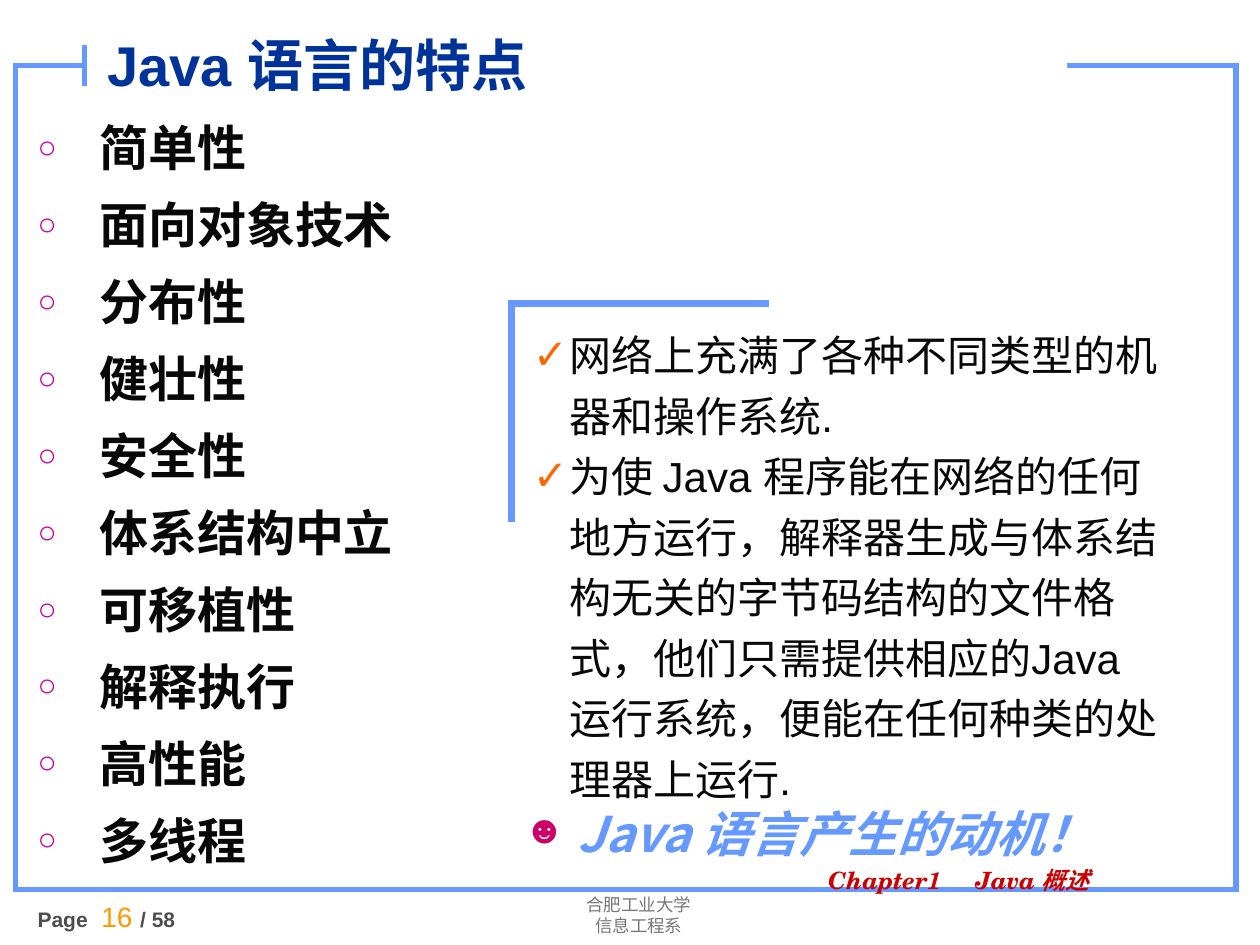
from lxml import etree
from pptx import Presentation
from pptx import util as u
from pptx.dml.color import RGBColor
from pptx.enum import shapes, text
from pptx.oxml.ns import qn

BLUE = RGBColor(0x66, 0x99, 0xFF)
NAVY = RGBColor(0x00, 0x33, 0x99)
INK = RGBColor(0x08, 0x08, 0x08)
GREY = RGBColor(0x77, 0x77, 0x77)
DARK_GREY = RGBColor(0x4D, 0x4D, 0x4D)
AMBER = RGBColor(0xFF, 0x99, 0x00)
ORANGE = RGBColor(0xFF, 0x66, 0x00)
PINK = RGBColor(0xCC, 0x00, 0x99)
CRIMSON = RGBColor(0xCC, 0x00, 0x66)
RED = RGBColor(0xCC, 0x00, 0x00)
WHITE = RGBColor(0xFF, 0xFF, 0xFF)

deck = Presentation()
deck.slide_width, deck.slide_height = u.Inches(10), u.Inches(7.5)
page = deck.slides.add_slide(deck.slide_layouts[5])


def add_panel(parent, place, fill=None, line=None, width=0):
    panel = parent.add_shape(shapes.MSO_SHAPE.RECTANGLE, *map(u.Inches, place))
    panel.shadow.inherit = False
    if fill is None:
        panel.fill.background()
    else:
        panel.fill.solid()
        panel.fill.fore_color.rgb = fill
    if line is None:
        panel.line.fill.background()
    else:
        panel.line.color.rgb = line
        panel.line.width = u.Pt(width)
        # Square corners
        etree.SubElement(panel._element.spPr.find(qn("a:ln")), qn("a:miter"), lim="800000")


def add_text(parent, place, lines, font, bullet=None, indent=0, **spacing):
    """Each line is a list of (words, size, colour) spans; font is (name, bold, italic)."""
    box = parent.add_textbox(*map(u.Inches, place))
    box.text_frame.word_wrap = True
    for number, spans in enumerate(lines):
        para = box.text_frame.paragraphs[0] if number == 0 else box.text_frame.add_paragraph()
        for name, value in spacing.items():
            setattr(para, name, value)
        para.font.name, para.font.bold, para.font.italic = font
        for words, size, colour in spans:
            span = para.add_run()
            span.text = words
            span.font.size, span.font.color.rgb = u.Pt(size), colour
            span.font.name, span.font.bold, span.font.italic = font
        if bullet:
            symbol, colour, percent = bullet
            props = para._p.get_or_add_pPr()
            props.set("marL", str(u.Inches(indent)))
            props.set("indent", str(-u.Inches(indent)))
            props.set("hangingPunct", "0")
            tint = etree.Element(qn("a:buClr"))
            etree.SubElement(tint, qn("a:srgbClr"), val=str(colour))
            scale = etree.Element(qn("a:buSzPct"), val=str(percent * 1000))
            face = etree.Element(qn("a:buFont"), typeface="Arial")
            mark = etree.Element(qn("a:buChar"), char=symbol)
            # Bullet settings come before the default run properties
            for part in (tint, scale, face, mark):
                props.find(qn("a:defRPr")).addprevious(part)
    return box


# Page frame, with a gap for the title
add_panel(page.shapes, (0.12, 0.52, 9.69, 6.54), line=BLUE, width=3)
add_panel(page.shapes, (0.67, 0.28, 7.8, 0.35), fill=WHITE)
tick = page.shapes.add_connector(shapes.MSO_CONNECTOR.STRAIGHT,
                                 *map(u.Inches, (0.67, 0.36, 0.67, 0.68)))
tick.line.color.rgb, tick.line.width = BLUE, u.Pt(3)
etree.SubElement(tick._element.spPr, qn("a:effectLst"))

# Footer: school, page number, chapter
add_text(page.shapes, (3.8, 7.05, 2.54, 0.44),
         [[("合肥工业大学", 10, GREY)], [("信息工程系", 10, GREY)]],
         ("Roboto", False, False), alignment=text.PP_ALIGN.CENTER)
counter = add_text(page.shapes, (0.2, 7.09, 1.81, 0.6),
                   [[("Page ", 12, DARK_GREY), (" 16 ", 16, AMBER), ("/ 58", 12, DARK_GREY)]],
                   ("Arial", True, False), space_before=u.Pt(7.5))
counter.text_frame.paragraphs[0].runs[1].font.bold = False
add_text(page.shapes, (6.42, 6.85, 2.84, 0.35), [[(" Chapter1     Java 概述", 13.6, RED)]],
         ("TeX Gyre Schola", True, True), line_spacing=0.9)

# Title, raised above the white gap in the frame
title = page.shapes.title
page.shapes._spTree.append(title._element)
title.left, title.top, title.width, title.height = map(u.Inches, (0.75, 0.11, 6.77, 0.8))
title.text_frame.text = "Java 语言的特点"
title.text_frame.vertical_anchor = text.MSO_ANCHOR.MIDDLE
heading = title.text_frame.paragraphs[0]
heading.alignment = text.PP_ALIGN.LEFT
for font in (heading.font, heading.runs[0].font):
    font.name, font.size, font.bold, font.color.rgb = "Arial", u.Pt(32), True, NAVY

# Language features
features = ["简单性", "面向对象技术", "分布性", "健壮性", "安全性",
            "体系结构中立", "可移植性", "解释执行", "高性能", "多线程"]
add_text(page.shapes, (0.2, 0.84, 9.53, 6.22), [[(name, 28, INK)] for name in features],
         ("Arial", True, False), ("○", PINK, 65), 0.49, line_spacing=1.1, space_before=u.Pt(7))

# Explanation with a corner bracket: a white panel covers the rest of the blue outline
note = page.shapes.add_group_shape().shapes
add_panel(note, (4.06, 2.41, 2.01, 1.7), WHITE, BLUE, 4.5)
add_panel(note, (4.09, 2.44, 2.01, 1.7), WHITE, WHITE, 0.75)
reasons = ["网络上充满了各种不同类型的机器和操作系统.",
           "为使 Java 程序能在网络的任何地方运行，解释器生成与体系结构无关的字节码结构的文件格式，"
           "他们只需提供相应的Java 运行系统，便能在任何种类的处理器上运行."]
add_text(note, (4.13, 2.49, 5.28, 3.94), [[(reason, 24, INK)] for reason in reasons],
         ("Arial", False, False), ("✓", ORANGE, 100), 0.29, line_spacing=1.2)

# Closing remark
add_text(page.shapes, (4.06, 6.27, 5.51, 0.64),
         [[(" ", 32, INK), ("Java 语言产生的动机！", 28, BLUE)]],
         ("Noto Sans CJK SC", True, True), ("☻", CRIMSON, 70), space_before=u.Pt(17.5))

deck.save("out.pptx")
